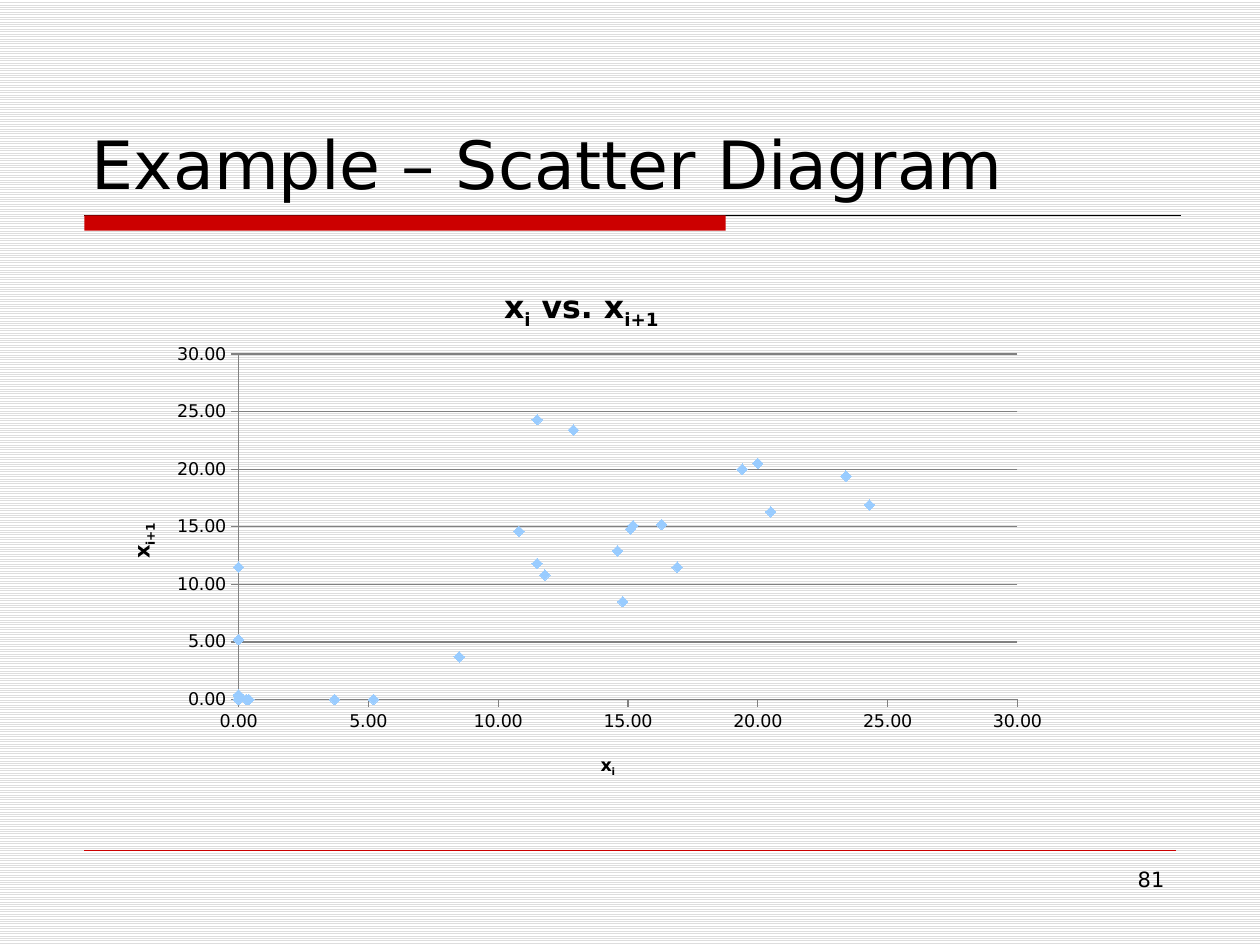
from dataclasses import dataclass

from lxml import etree
from pptx import Presentation
from pptx.chart.data import XyChartData
from pptx.dml.color import RGBColor
from pptx.enum.chart import XL_CHART_TYPE as ChartType, XL_MARKER_STYLE as Marker
from pptx.enum.chart import XL_TICK_LABEL_POSITION as LabelPosition, XL_TICK_MARK as Tick
from pptx.enum.dml import MSO_PATTERN as Pattern
from pptx.enum.shapes import MSO_CONNECTOR as Connector, MSO_SHAPE as Shape
from pptx.enum.text import MSO_ANCHOR as Anchor, PP_ALIGN as Align
from pptx.oxml.ns import qn
from pptx.slide import Slide
from pptx.util import Inches, Pt

BLACK = RGBColor(0x00, 0x00, 0x00)
WHITE = RGBColor(0xFF, 0xFF, 0xFF)
STRIPE = RGBColor(0xDD, 0xDD, 0xDD)
RED = RGBColor(0xCC, 0x00, 0x00)
GRAY = RGBColor(0x80, 0x80, 0x80)
SKY = RGBColor(0x99, 0xCC, 0xFF)

OBSERVATIONS = [
    0, 0.3, 0, 0, 0, 0, 5.2, 0, 0.4, 0, 11.5, 24.3, 16.9, 11.5, 11.8, 10.8,
    14.6, 12.9, 23.4, 19.4, 20, 20.5, 16.3, 15.2, 15.1, 14.8, 8.5, 3.7, 0, 0,
]


@dataclass
class SlideWriter:
    slide: Slide
    font: str = "DejaVu Sans"

    def style(self, font, size, bold=False):
        font.name = self.font
        font.size = Pt(size)
        font.bold = bold
        font.color.rgb = BLACK

    def background(self):
        fill = self.slide.background.fill
        fill.patterned()
        fill.pattern = Pattern.LIGHT_HORIZONTAL
        fill.fore_color.rgb = STRIPE
        fill.back_color.rgb = WHITE

    def bar(self, left, top, width, height, color):
        bar = self.slide.shapes.add_shape(
            Shape.RECTANGLE, Inches(left), Inches(top), Inches(width), Inches(height))
        bar.shadow.inherit = False
        bar.fill.solid()
        bar.fill.fore_color.rgb = color
        bar.line.fill.background()

    def rule(self, left, right, y, color, weight):
        rule = self.slide.shapes.add_connector(
            Connector.STRAIGHT, Inches(left), Inches(y), Inches(right), Inches(y))
        rule.line.color.rgb = color
        rule.line.width = Pt(weight)
        etree.SubElement(rule._element.spPr, qn("a:effectLst"))

    def title(self, text, left, top, width, height, size):
        title = self.slide.shapes.title
        title.left, title.top = Inches(left), Inches(top)
        title.width, title.height = Inches(width), Inches(height)
        frame = title.text_frame
        frame.text = text
        frame.vertical_anchor = Anchor.BOTTOM
        frame.paragraphs[0].alignment = Align.LEFT
        self.style(frame.paragraphs[0].runs[0].font, size)

    def page_number(self, text, left, top, width, height, size):
        box = self.slide.shapes.add_textbox(
            Inches(left), Inches(top), Inches(width), Inches(height))
        box.text_frame.word_wrap = True
        paragraph = box.text_frame.paragraphs[0]
        paragraph.text = text
        paragraph.alignment = Align.RIGHT
        self.style(paragraph.runs[0].font, size)

    def place(self, element, index, **fractions):
        for old in element.findall(qn("c:layout")):
            element.remove(old)
        layout = etree.Element(qn("c:layout"))
        manual = etree.SubElement(layout, qn("c:manualLayout"))
        if "w" in fractions:
            etree.SubElement(manual, qn("c:layoutTarget"), val="inner")
        for mode in ("xMode", "yMode"):
            etree.SubElement(manual, qn(f"c:{mode}"), val="edge")
        for key, fraction in fractions.items():
            etree.SubElement(manual, qn(f"c:{key}"), val=str(fraction))
        element.insert(index, layout)

    def chart_title(self, title, parts, size, x, y):
        paragraph = title.text_frame.paragraphs[0]
        for text, is_subscript in parts:
            run = paragraph.add_run()
            run.text = text
            self.style(run.font, size, bold=True)
            if is_subscript:
                run._r.get_or_add_rPr().set("baseline", "-25000")
        self.place(title._element, 1, x=x, y=y)

    def axis(self, axis):
        axis.minimum_scale, axis.maximum_scale, axis.major_unit = 0, 30, 5
        axis.major_tick_mark, axis.minor_tick_mark = Tick.OUTSIDE, Tick.NONE
        axis.tick_label_position = LabelPosition.NEXT_TO_AXIS
        axis.tick_labels.number_format = "0.00"
        axis.tick_labels.number_format_is_linked = False
        axis.format.line.color.rgb = GRAY
        axis.format.line.width = Pt(0.75)

    def scatter(self, points, left, top, width, height):
        chart_data = XyChartData()
        lag_series = chart_data.add_series("Series 1")
        for x, y in points:
            lag_series.add_data_point(x, y)
        chart = self.slide.shapes.add_chart(
            ChartType.XY_SCATTER, Inches(left), Inches(top),
            Inches(width), Inches(height), chart_data).chart
        self.style(chart.font, 10)
        chart.has_legend = False
        across, up = chart.category_axis, chart.value_axis
        self.axis(across)
        self.axis(up)
        across.has_major_gridlines = False
        up.has_major_gridlines = True
        up.major_gridlines.format.line.color.rgb = GRAY
        up.major_gridlines.format.line.width = Pt(0.75)

        current = [("x", False), ("i", True)]
        following = [("x", False), ("i+1", True)]
        self.chart_title(chart.chart_title, current + [(" vs. ", False)] + following,
                         18, 0.42, 0.04)
        self.chart_title(across.axis_title, current, 10, 0.52, 0.91)
        self.chart_title(up.axis_title, following, 12, 0.03, 0.48)
        plot = chart.plots[0]
        plot.vary_by_categories = False
        self.place(plot._element.getparent(), 0, x=0.149, y=0.172, w=0.806, h=0.645)

        series = plot.series[0]
        series.smooth = False
        series.format.line.fill.background()
        series.marker.style = Marker.DIAMOND
        series.marker.size = 6
        series.marker.format.fill.solid()
        series.marker.format.fill.fore_color.rgb = SKY
        series.marker.format.line.color.rgb = SKY


def main():
    deck = Presentation()
    deck.slide_width, deck.slide_height = Inches(10), Inches(7.5)
    writer = SlideWriter(deck.slides.add_slide(deck.slide_layouts[5]))
    writer.background()
    writer.rule(0.67, 9.37, 1.71, BLACK, 0.75)
    writer.bar(0.67, 1.71, 5.09, 0.12, RED)
    writer.rule(0.67, 9.33, 6.75, RED, 0.25)
    writer.title("Example – Scatter Diagram", 0.63, 0.33, 8.75, 1.33, 38)
    writer.page_number("81", 7.17, 6.83, 2.17, 0.52, 12)
    writer.scatter(zip(OBSERVATIONS, OBSERVATIONS[1:]), 0.75, 2.08, 7.67, 4.25)
    deck.save("out.pptx")


if __name__ == "__main__":
    main()
